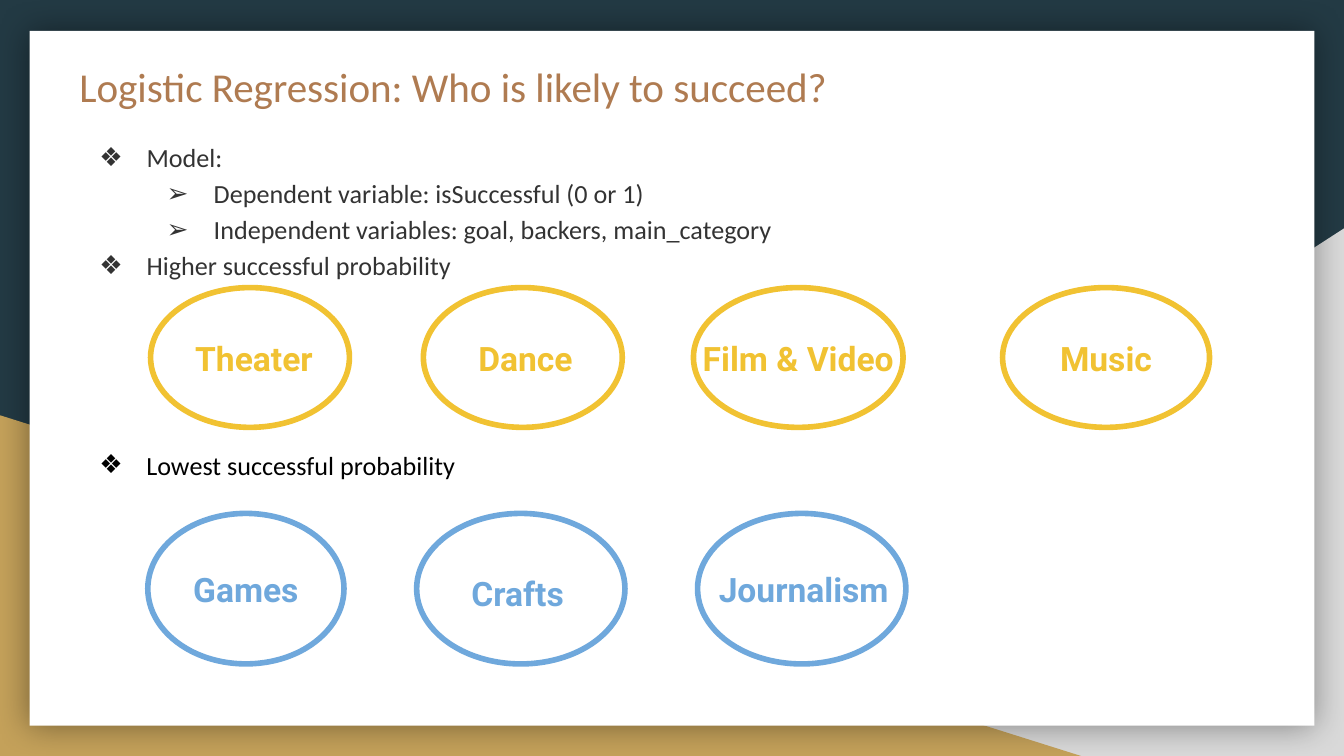
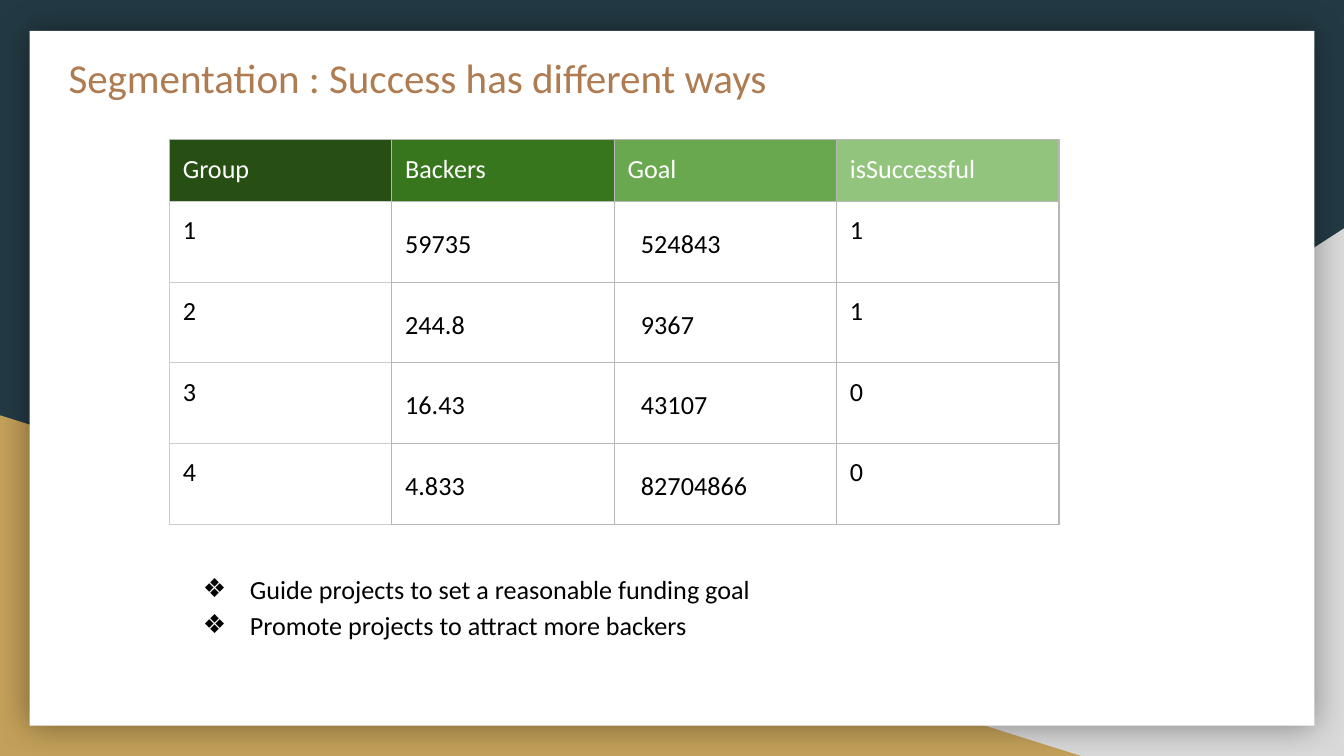
from lxml import etree
from pptx import Presentation
from pptx.dml.color import RGBColor
from pptx.enum.shapes import MSO_SHAPE
from pptx.enum.text import MSO_ANCHOR, MSO_AUTO_SIZE, PP_ALIGN
from pptx.oxml.ns import qn
from pptx.util import Inches, Pt

RECT, OVAL, TRIANGLE = MSO_SHAPE.RECTANGLE, MSO_SHAPE.OVAL, MSO_SHAPE.RIGHT_TRIANGLE
LEFT, CENTER, TOP = PP_ALIGN.LEFT, PP_ALIGN.CENTER, MSO_ANCHOR.TOP
NO_FIT = MSO_AUTO_SIZE.NONE

NAVY, GREY, SAND, WHITE, BLACK = "233A44", "D9D9D9", "C4A15A", "FFFFFF", "000000"
COPPER, INK, YELLOW, BLUE = "AF7B51", "333333", "F1C232", "6FA8DC"
HEADER_FILLS = ["274E13", "38761D", "6AA84F", "93C47D"]
EDGE, PALE_EDGE = "B7B7B7", "CCCCCC"
BULLETS = ["❖", "➢"]


def rgb(value):
    return RGBColor.from_string(value)


def add_xml(parent, tag, **attrs):
    return etree.SubElement(parent, qn(tag), attrs)


def add_run(p, text, size, color, font="Calibri", bold=False):
    r = p.add_run()
    r.text = text
    r.font.size, r.font.name, r.font.bold = Pt(size), font, bold
    r.font.color.rgb = rgb(color)


def place(sp, box):
    sp.left, sp.top, sp.width, sp.height = [Inches(v) for v in box]


def prepare_text(sp):
    tf = sp.text_frame
    tf.word_wrap, tf.auto_size, tf.vertical_anchor = True, NO_FIT, TOP
    tf.margin_left = tf.margin_right = tf.margin_top = tf.margin_bottom = Inches(0.1)
    return tf


def add_text_box(shapes, box):
    return shapes.add_textbox(*[Inches(v) for v in box])


def add_shape(shapes, kind, box, fill=None, line=None):
    sp = shapes.add_shape(kind, *[Inches(v) for v in box])
    sp.shadow.inherit = False
    if fill:
        sp.fill.solid()
        sp.fill.fore_color.rgb = rgb(fill)
    else:
        sp.fill.background()
    if line:
        sp.line.color.rgb = rgb(line)
        sp.line.width = Pt(3)
    else:
        sp.line.fill.background()
    return sp


def add_backdrop(prs, s):
    master = prs.slide_master
    master.background.fill.solid()
    master.background.fill.fore_color.rgb = rgb(NAVY)
    right = add_shape(s.shapes, TRIANGLE, (3.92, 1.7, 6.08, 3.93), GREY)
    right.element.spPr.find(qn("a:xfrm")).set("flipH", "1")
    bottom = add_shape(s.shapes, TRIANGLE, (0, 3.09, 8.06, 2.54), SAND)
    sheet = add_shape(s.shapes, RECT, (0.22, 0.23, 9.56, 5.17), WHITE)
    effects = sheet.element.spPr.find(qn("a:effectLst"))
    shadow = add_xml(effects, "a:outerShdw", blurRad=str(Pt(18)), dist="0", dir="0",
                     algn="ctr", rotWithShape="0")
    add_xml(add_xml(shadow, "a:srgbClr", val=BLACK), "a:alpha", val="40000")
    for i, sp in enumerate([right, bottom, sheet]):
        master.shapes.element.insert(2 + i, sp.element)


def add_title(s, box, text):
    sp = s.shapes.title
    place(sp, box)
    p = prepare_text(sp).paragraphs[0]
    p.alignment = LEFT
    add_run(p, text, 22, COPPER)


def fill_list(sp, box, items, color, spacing=1.15):
    place(sp, box)
    tf = prepare_text(sp)
    for i, (level, text) in enumerate(items):
        p = tf.paragraphs[0] if i == 0 else tf.add_paragraph()
        pPr = p._p.get_or_add_pPr()
        pPr.set("marL", str(Inches(0.5 * (level + 1))))
        pPr.set("indent", str(Inches(-0.35)))
        add_xml(add_xml(pPr, "a:buClr"), "a:srgbClr", val=color)
        add_xml(pPr, "a:buFont", typeface="Calibri")
        add_xml(pPr, "a:buChar", char=BULLETS[level])
        p.level, p.alignment, p.line_spacing = level, LEFT, spacing
        p.space_before = p.space_after = Pt(0)
        add_run(p, text, 14, color)


def add_category(s, box, label_box, text, color, align):
    x, y, w, h = box
    dx, dy, label_w, label_h = label_box
    group = s.shapes.add_group_shape()
    add_shape(group.shapes, OVAL, box, line=color)
    label = add_text_box(group.shapes, (x + dx, y + dy, label_w, label_h))
    p = prepare_text(label).paragraphs[0]
    p.alignment, p.line_spacing, p.space_after = align, 1.15, Pt(16)
    add_run(p, text, 18, color, "Roboto", True)


def add_category_row(s, top, height, color, categories):
    for text, x, w, label_box, align in categories:
        add_category(s, (x, top, w, height), label_box, text, color, align)


def set_borders(cell, color):
    tcPr = cell._tc.get_or_add_tcPr()
    for side in "LRTB":
        ln = add_xml(tcPr, "a:ln" + side, w=str(Pt(0.75)))
        add_xml(add_xml(ln, "a:solidFill"), "a:srgbClr", val=color)


def format_cell(cell, text, row, col):
    header = row == 0
    set_borders(cell, PALE_EDGE if col == 0 and not header else EDGE)
    cell.fill.solid()
    cell.fill.fore_color.rgb = rgb(HEADER_FILLS[col] if header else WHITE)
    cell.margin_left = cell.margin_right = cell.margin_top = cell.margin_bottom = Inches(0.1)
    p = cell.text_frame.paragraphs[0]
    if not header and col in (1, 2):
        p.line_spacing, p.space_after = 1.43, Pt(8)
        if col == 2:
            p._p.get_or_add_pPr().set("marL", str(Inches(0.1)))
    add_run(p, text, 14, WHITE if header else BLACK)


def add_segment_table(s, box, rows):
    x, y, w, h = [Inches(v) for v in box]
    table = s.shapes.add_table(len(rows), len(rows[0]), x, y, w, h).table
    table.first_row = table.horz_banding = False
    for column in table.columns:
        column.width = w // len(rows[0])
    for i, values in enumerate(rows):
        table.rows[i].height = Inches(0.6 if i else 0.46)
        for j, text in enumerate(values):
            format_cell(table.cell(i, j), text, i, j)


def build_regression(s):
    add_title(s, (0.49, 0.36, 8.94, 0.5), "Logistic Regression: Who is likely to succeed?")
    fill_list(s.placeholders[1], (0.49, 0.92, 8.21, 1.04), [
        (0, "Model:"),
        (1, "Dependent variable: isSuccessful (0 or 1)"),
        (1, "Independent variables: goal, backers, main_category"),
        (0, "Higher successful probability"),
    ], INK)
    add_category_row(s, 2.14, 1.04, YELLOW, [
        ("Theater", 1.12, 1.48, (0.03, 0.23, 1.48, 0.59), CENTER),
        ("Dance", 3.15, 1.48, (0.02, 0.23, 1.48, 0.59), CENTER),
        ("Film & Video", 5.16, 1.56, (-0.09, 0.23, 1.74, 0.59), CENTER),
        ("Music", 7.46, 1.54, (0, 0.23, 1.54, 0.59), CENTER),
    ])
    lowest_box = (0.49, 3.24, 4.05, 0.69)
    fill_list(add_text_box(s.shapes, lowest_box), lowest_box,
              [(0, "Lowest successful probability")], BLACK, 1.0)
    add_category_row(s, 3.82, 1.12, BLUE, [
        ("Games", 1.1, 1.46, (0.1, 0.27, 1.26, 0.68), CENTER),
        ("Crafts", 3.1, 1.55, (0.31, 0.3, 1.33, 0.68), LEFT),
        ("Journalism", 5.19, 1.55, (0.06, 0.27, 1.64, 0.68), LEFT),
    ])


def build_segmentation(s):
    add_title(s, (0.41, 0.29, 8.21, 0.47), "Segmentation : Success has different ways")
    add_segment_table(s, (1.26, 1.04, 6.62, 2.86), [
        ("Group", "Backers", "Goal", "isSuccessful"),
        ("1", "59735", "524843", "1"),
        ("2", "244.8", "9367", "1"),
        ("3", "16.43", "43107", "0"),
        ("4", "4.833", "82704866", "0"),
    ])
    fill_list(s.placeholders[1], (1.26, 4.13, 7.6, 1.01), [
        (0, "Guide projects to set a reasonable funding goal"),
        (0, "Promote projects to attract more backers"),
    ], BLACK)


def main():
    prs = Presentation()
    prs.slide_width = Inches(10)
    prs.slide_height = prs.slide_width * 9 // 16
    layout = prs.slide_layouts[1]
    regression = prs.slides.add_slide(layout)
    add_backdrop(prs, regression)
    build_regression(regression)
    build_segmentation(prs.slides.add_slide(layout))
    prs.save("out.pptx")


if __name__ == "__main__":
    main()
